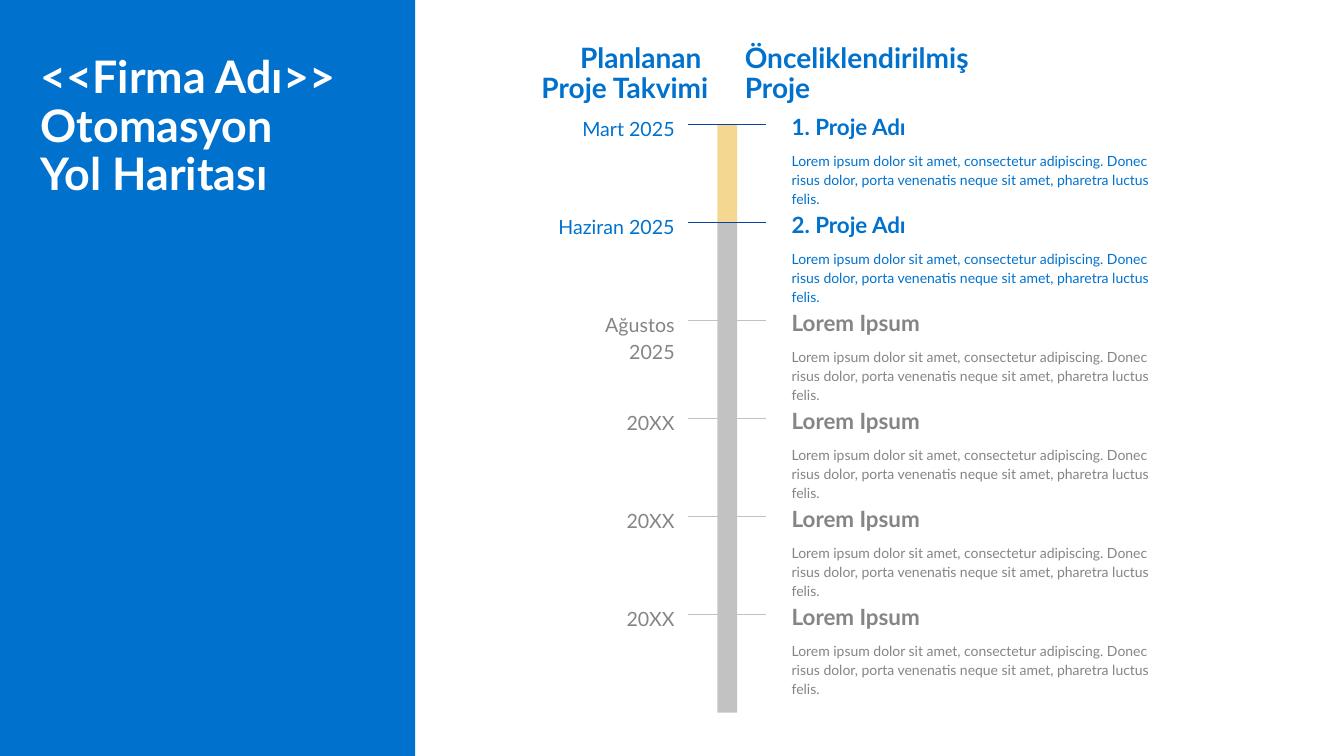
from dataclasses import dataclass

from lxml.etree import SubElement
from pptx import Presentation
from pptx.dml.color import RGBColor
from pptx.enum.shapes import MSO_CONNECTOR as Link, MSO_SHAPE as Form
from pptx.enum.text import MSO_ANCHOR as Anchor, MSO_AUTO_SIZE as Fit, PP_ALIGN as Align
from pptx.oxml.ns import qn
from pptx.shapes.autoshape import Shape
from pptx.slide import Slide
from pptx.util import Emu, Pt

SCALE = 6350  # EMU in one px, 144 px to the inch
BLUE = RGBColor(0x00, 0x72, 0xCE)
NAVY = RGBColor(0x09, 0x42, 0xA1)
GOLD = RGBColor(0xF4, 0xD7, 0x90)
GREY = RGBColor(0x85, 0x85, 0x85)
SILVER = RGBColor(0xC2, 0xC2, 0xC2)
WHITE = RGBColor(0xFF, 0xFF, 0xFF)

TOP, PITCH = 178, 140
INSET = 19
BODY = ("Lorem ipsum dolor sit amet, consectetur adipiscing. Donec risus dolor, "
        "porta venenatis neque sit amet, pharetra luctus felis.")


@dataclass
class Step:
    date: str
    name: str
    ink: RGBColor = GREY
    rule: RGBColor = SILVER
    bar: RGBColor = SILVER


STEPS = [
    Step("Mart 2025", "1. Proje Adı", BLUE, NAVY, GOLD),
    Step("Haziran 2025", "2. Proje Adı", BLUE, NAVY),
    Step(" Ağustos 2025", "Lorem Ipsum"),
    *[Step("20XX", "Lorem Ipsum")] * 3,
]


def px(num: int) -> Emu:
    return Emu(num * SCALE)


def write(box: Shape, text: str, *, size: int, ink: RGBColor, bold: bool = False,
          align: Align = Align.LEFT, lead: float = 1.15, inset: int = INSET,
          anchor: Anchor = Anchor.TOP, fit: Fit = Fit.NONE) -> None:
    frame = box.text_frame
    frame.text = text
    frame.word_wrap = True
    frame.auto_size = fit
    frame.vertical_anchor = anchor
    frame.margin_left = frame.margin_right = px(inset)
    frame.margin_top = frame.margin_bottom = px(inset)
    for para in frame.paragraphs:
        para.alignment = align
        para.line_spacing = lead
        for run in para.runs:
            run.font.name = "Lato"
            run.font.size = Pt(size)
            run.font.bold = bold
            run.font.color.rgb = ink


def label(slide: Slide, x: int, y: int, w: int, h: int, text: str, **style) -> None:
    write(slide.shapes.add_textbox(px(x), px(y), px(w), px(h)), text, **style)


def block(slide: Slide, x: int, y: int, w: int, h: int, fill: RGBColor) -> Shape:
    rect = slide.shapes.add_shape(Form.RECTANGLE, px(x), px(y), px(w), px(h))
    rect.shadow.inherit = False
    rect.fill.solid()
    rect.fill.fore_color.rgb = fill
    rect.line.fill.background()
    return rect


def tick(slide: Slide, y: int, ink: RGBColor) -> None:
    line = slide.shapes.add_connector(Link.STRAIGHT, px(1094), px(y), px(983), px(y))
    line.line.color.rgb = ink
    line.line.width = Pt(0.75)
    SubElement(line.element.spPr, qn("a:effectLst"))


def row(slide: Slide, y: int, step: Step) -> None:
    label(slide, 1112, y - 41, 573, 58, step.name, size=16, ink=step.ink, bold=True)
    label(slide, 1112, y + 17, 573, 86, BODY, size=10, ink=step.ink)
    label(slide, 776, y - 35, 207, 73, step.date, size=14, ink=step.ink,
          align=Align.RIGHT)
    block(slide, 1025, y, 28, PITCH, step.bar)
    tick(slide, y, step.rule)


def main() -> None:
    deck = Presentation()
    deck.slide_width, deck.slide_height = px(1920), px(1080)
    slide = deck.slides.add_slide(deck.slide_layouts[5])
    head = dict(bold=True, lead=0.9, inset=0, anchor=Anchor.MIDDLE,
                fit=Fit.SHAPE_TO_FIT_TEXT)

    # Title on the side panel
    title = slide.shapes.title
    panel = block(slide, 0, 0, 593, 1080, BLUE)
    title.element.addprevious(panel.element)
    title.left, title.top, title.width, title.height = map(px, (58, 78, 481, 209))
    write(title, "<<Firma Adı>>\vOtomasyon \vYol Haritası", size=32, ink=WHITE, **head)

    # Timeline
    for i, step in enumerate(STEPS):
        row(slide, TOP + i * PITCH, step)

    # Column headings
    label(slide, 628, 62, 384, 88, "Planlanan \nProje Takvimi", size=20, ink=BLUE,
          align=Align.RIGHT, **head)
    label(slide, 1064, 62, 451, 88, "Önceliklendirilmiş\nProje", size=20, ink=BLUE,
          **head)

    deck.save("out.pptx")


if __name__ == "__main__":
    main()
